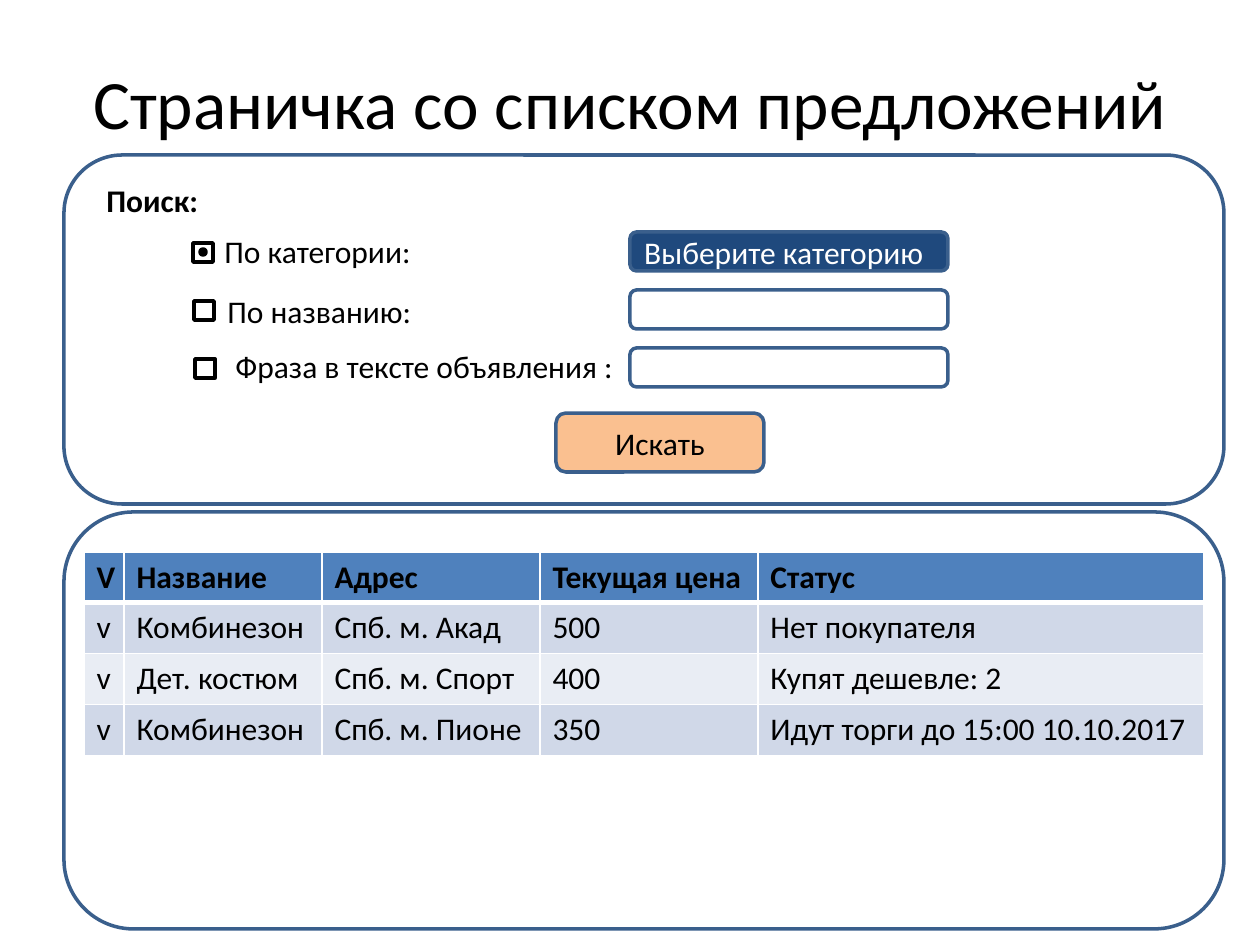
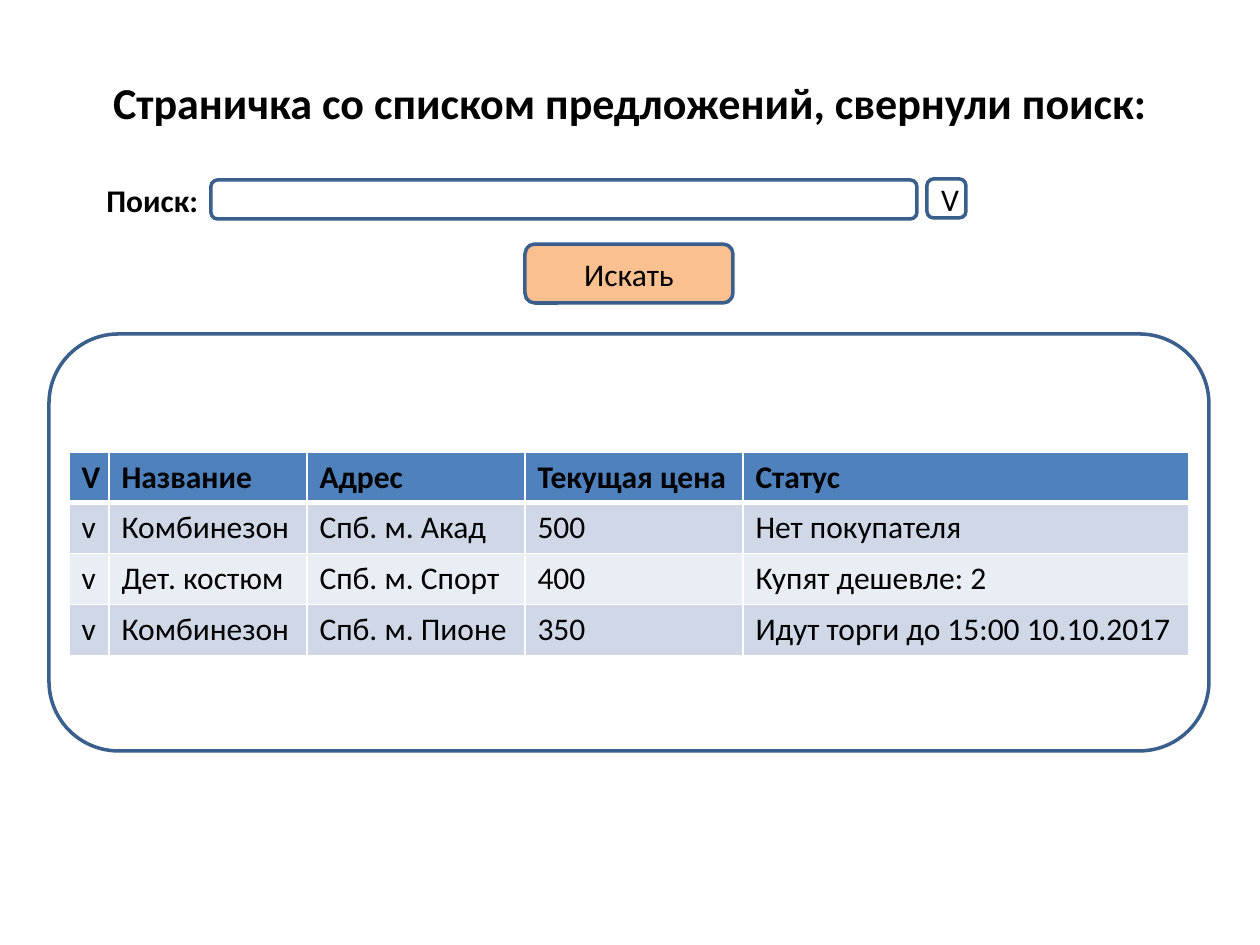
import lxml.etree
import pptx
import pptx.dml.color
import pptx.enum.shapes
import pptx.enum.text
import pptx.oxml.ns
import pptx.util

RGBColor = pptx.dml.color.RGBColor
SHAPE = pptx.enum.shapes.MSO_SHAPE
ANCHOR = pptx.enum.text.MSO_ANCHOR
ALIGN = pptx.enum.text.PP_ALIGN

PX_PER_INCH = 126
EMU_PER_PX = 914400 / PX_PER_INCH
SLIDE_SIZE = (1260, 945)
FONT = "Calibri"
TEXT_SIZE = 18
LINE_WIDTH = 2

BLACK = RGBColor(0x00, 0x00, 0x00)
WHITE = RGBColor(0xFF, 0xFF, 0xFF)
OUTLINE = RGBColor(0x3A, 0x5F, 0x8C)
NAVY = RGBColor(0x1F, 0x49, 0x7D)
PEACH = RGBColor(0xFA, 0xC0, 0x90)
HEADER_FILL = RGBColor(0x4F, 0x81, 0xBD)
BAND_FILLS = (RGBColor(0xD0, 0xD8, 0xE8), RGBColor(0xE9, 0xED, 0xF4))

TITLE_BOX = (63, 38, 1134, 127)
SEARCH_LABEL_SIZE = (118, 51)
FIELD_HEIGHT = 39
BUTTON_SIZE = (208, 59)
CHECKBOX_SIZE = (20, 19)
COLUMN_WIDTHS = (40, 198, 218, 218, 446)
ROW_HEIGHTS = (39, 51, 51, 51)
TABLE_INDENT = 20

OFFERS = (
    ("V", "Название", "Адрес", "Текущая цена", "Статус"),
    ("v", "Комбинезон", "Спб. м. Акад", "500", "Нет покупателя"),
    ("v", "Дет. костюм", "Спб. м. Спорт", "400", "Купят дешевле: 2"),
    ("v", "Комбинезон", "Спб. м. Пионе", "350", "Идут торги до 15:00 10.10.2017"),
)


def px(length):
    return pptx.util.Emu(round(length * EMU_PER_PX))


def emu_box(box):
    return [px(length) for length in box]


def write(text_frame, text, color=BLACK, size=TEXT_SIZE, bold=False, align=ALIGN.LEFT):
    paragraph = text_frame.paragraphs[0]
    paragraph.alignment = align
    run = paragraph.add_run()
    run.text = text
    font_format = {"name": FONT, "size": pptx.util.Pt(size), "bold": bold}
    for attribute, value in font_format.items():
        setattr(run.font, attribute, value)
    run.font.color.rgb = color


def add_title(slide, text, size, bold=False):
    title = slide.shapes.title
    for attribute, value in zip(("left", "top", "width", "height"), emu_box(TITLE_BOX)):
        setattr(title, attribute, value)
    title.text_frame.vertical_anchor = ANCHOR.MIDDLE
    write(title.text_frame, text, size=size, bold=bold, align=ALIGN.CENTER)


def add_label(slide, box, text, bold=False):
    label = slide.shapes.add_textbox(*emu_box(box))
    label.text_frame.word_wrap = False
    write(label.text_frame, text, bold=bold)


def add_block(slide, box, kind=SHAPE.ROUNDED_RECTANGLE, fill=WHITE, line=OUTLINE):
    block = slide.shapes.add_shape(kind, *emu_box(box))
    block.shadow.inherit = False
    block.fill.solid()
    block.fill.fore_color.rgb = fill
    block.line.color.rgb = line
    block.line.width = pptx.util.Pt(LINE_WIDTH)
    block.text_frame.vertical_anchor = ANCHOR.MIDDLE
    return block


def add_search_button(slide, left, top):
    button = add_block(slide, (left, top, *BUTTON_SIZE), fill=PEACH)
    write(button.text_frame, "Искать", align=ALIGN.CENTER)


def add_search_label(slide, left, top):
    add_label(slide, (left, top, *SEARCH_LABEL_SIZE), "Поиск:", bold=True)


def add_checkbox(slide, left, top, checked):
    add_block(slide, (left, top, *CHECKBOX_SIZE), SHAPE.RECTANGLE, line=BLACK)
    if checked:
        add_block(slide, (left + 7, top + 6, 6, 6), SHAPE.OVAL, BLACK, BLACK)


def set_borders(cell, widths):
    """Draw white cell borders; widths maps an edge letter to points."""
    properties = cell._tc.get_or_add_tcPr()
    for edge in "LRTB":
        width = pptx.util.Pt(widths.get(edge, 1))
        border = lxml.etree.SubElement(
            properties, pptx.oxml.ns.qn("a:ln" + edge), w=str(int(width)))
        fill = lxml.etree.SubElement(border, pptx.oxml.ns.qn("a:solidFill"))
        lxml.etree.SubElement(fill, pptx.oxml.ns.qn("a:srgbClr"), val=str(WHITE))


def add_offers_panel(slide, box, table_offset):
    """Rounded panel with the table of offers table_offset below its top."""
    add_block(slide, box)
    left, top = box[:2]
    table_box = (left + TABLE_INDENT, top + table_offset,
                 sum(COLUMN_WIDTHS), sum(ROW_HEIGHTS))
    table = slide.shapes.add_table(
        len(OFFERS), len(COLUMN_WIDTHS), *emu_box(table_box)).table
    for column, width in zip(table.columns, COLUMN_WIDTHS):
        column.width = px(width)
    for row_index, (row, height, offer) in enumerate(zip(table.rows, ROW_HEIGHTS, OFFERS)):
        row.height = px(height)
        is_header = row_index == 0
        row_fill = HEADER_FILL if is_header else BAND_FILLS[(row_index - 1) % 2]
        borders = {0: {"B": 3}, 1: {"T": 3}}.get(row_index, {})
        for cell, text in zip(row.cells, offer):
            set_borders(cell, borders)
            cell.fill.solid()
            cell.fill.fore_color.rgb = row_fill
            write(cell.text_frame, text, bold=is_header)


def add_search_panel(slide, box):
    """Full search form: three criteria with a field each, and a button."""
    add_block(slide, box)
    left, top = box[:2]
    add_search_label(slide, left + 30, top + 20)
    # Label text, left, top and width, placed from the panel corner.
    criteria = (
        ("По категории:", 148, 71, 214),
        ("По названию:", 151, 131, 212),
        ("Фраза в тексте объявления :", 159, 186, 407),
    )
    for index, (text, label_left, label_top, label_width) in enumerate(criteria):
        is_chosen = index == 0
        row_top = top + 77 + 58 * index
        field = add_block(slide, (left + 566, row_top, 318, FIELD_HEIGHT),
                          fill=NAVY if is_chosen else WHITE)
        if is_chosen:
            write(field.text_frame, "Выберите категорию", WHITE)
        add_label(slide, (left + label_left, top + label_top, label_width, 51), text)
        add_checkbox(slide, left + 129 + index, row_top + 11, is_chosen)
    add_search_button(slide, left + 492, top + 258)


def add_search_bar(slide, left, top):
    """Folded search: one field, an unfold button and the search button."""
    add_search_label(slide, left, top)
    add_block(slide, (left + 117, top + 5, 706, FIELD_HEIGHT))
    unfold = add_block(slide, (left + 833, top + 4, FIELD_HEIGHT, FIELD_HEIGHT))
    write(unfold.text_frame, "V")
    add_search_button(slide, left + 431, top + 69)


def build_open_search_slide(slide):
    add_title(slide, "Страничка со списком предложений", 39.6)
    add_search_panel(slide, (64, 155, 1160, 349))
    add_offers_panel(slide, (64, 512, 1160, 417), 40)


def build_folded_search_slide(slide):
    add_title(slide, "Страничка со списком предложений, свернули поиск:", 25.2, bold=True)
    add_search_bar(slide, 94, 175)
    add_offers_panel(slide, (49, 334, 1160, 417), 118)


def main():
    presentation = pptx.Presentation()
    presentation.slide_width, presentation.slide_height = emu_box(SLIDE_SIZE)
    title_only = presentation.slide_layouts[5]
    for build in (build_open_search_slide, build_folded_search_slide):
        build(presentation.slides.add_slide(title_only))
    presentation.save("out.pptx")


if __name__ == "__main__":
    main()
